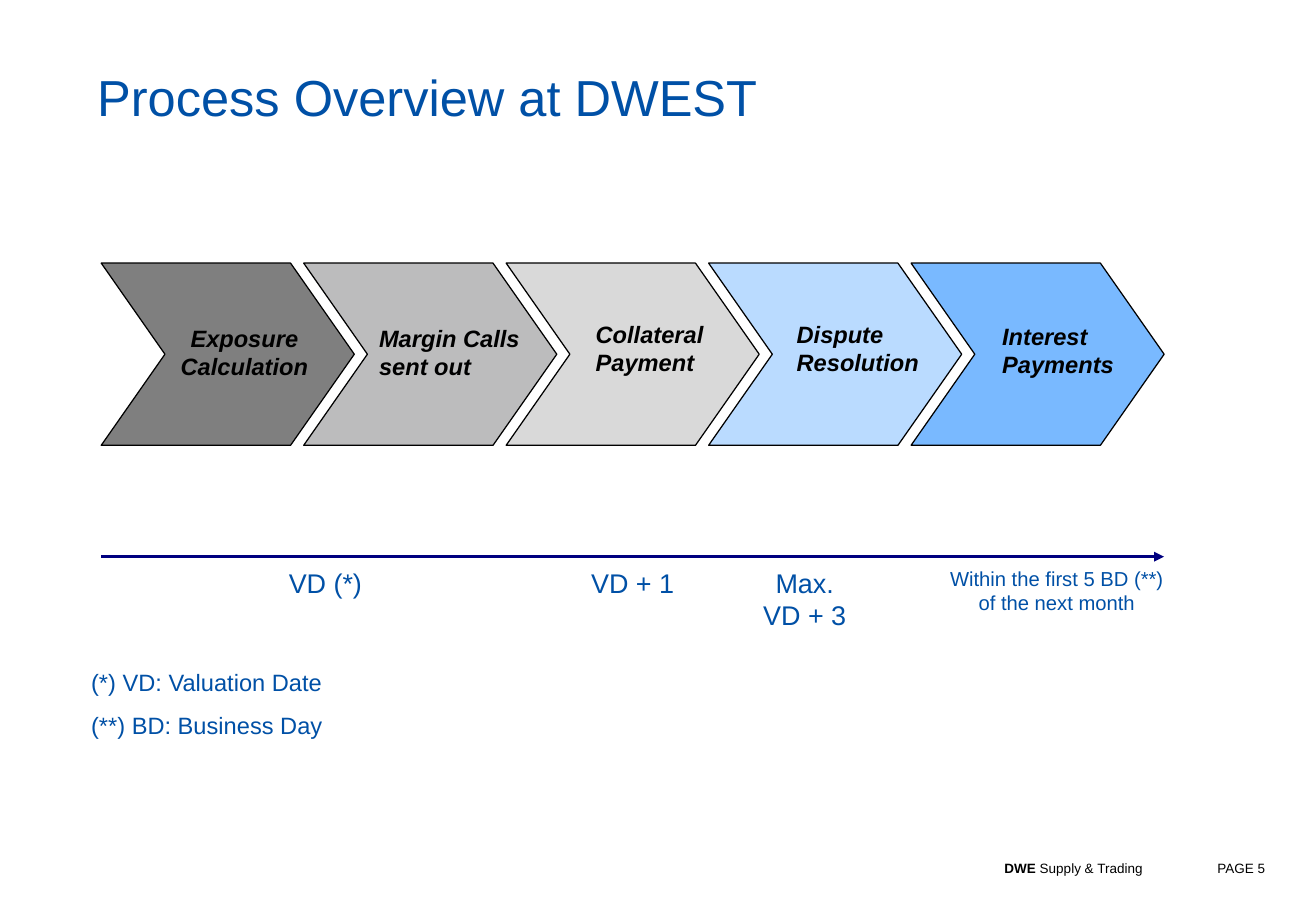
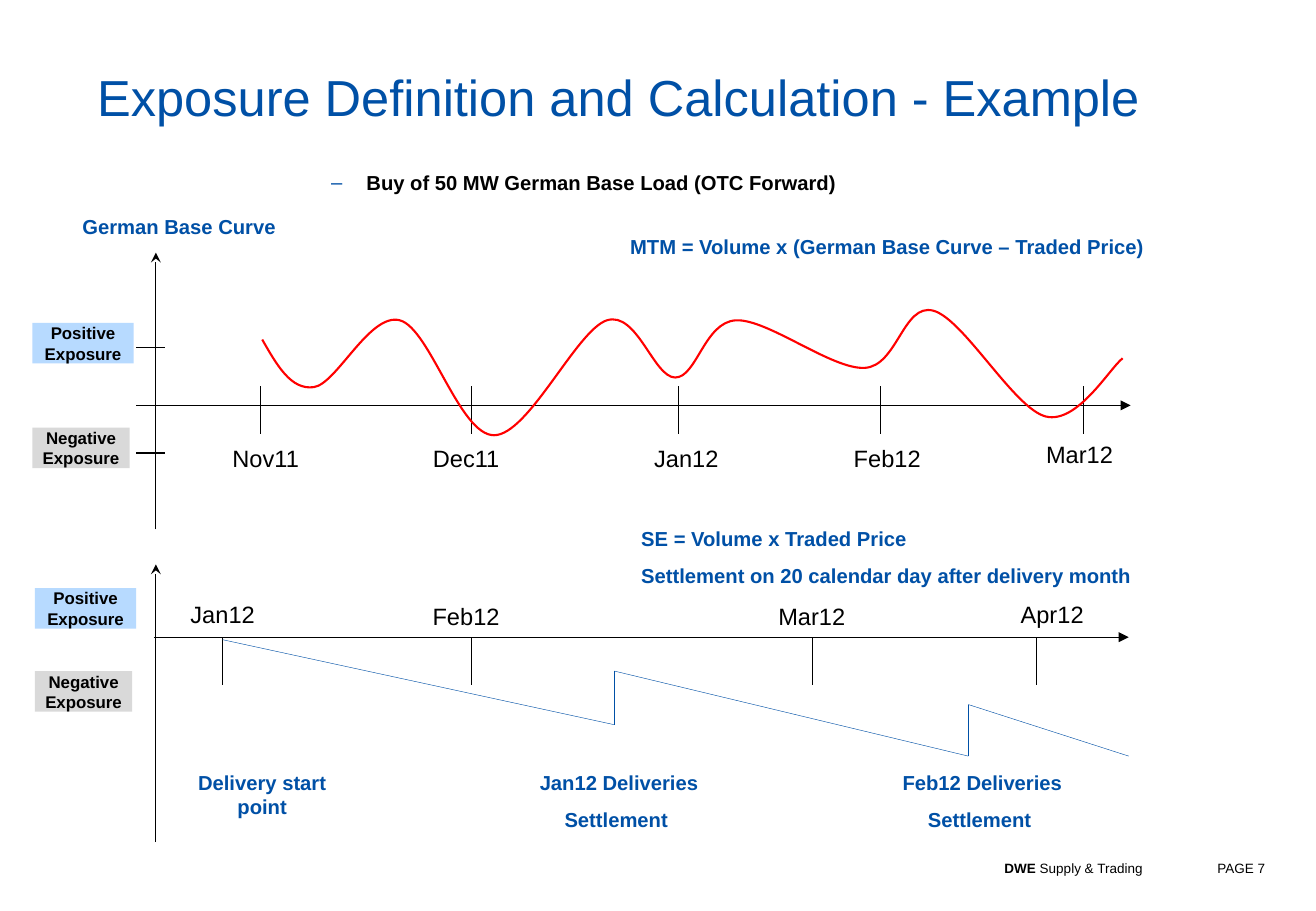
"""Build two slides on margin-call processing and exposure calculation."""
import dataclasses
import itertools

import lxml.etree
import pptx
import pptx.dml.color
import pptx.enum.shapes
import pptx.enum.text
import pptx.oxml.ns
import pptx.util

Align = pptx.enum.text.PP_ALIGN
Anchor = pptx.enum.text.MSO_ANCHOR
Preset = pptx.enum.shapes.MSO_SHAPE
Connector = pptx.enum.shapes.MSO_CONNECTOR
qn = pptx.oxml.ns.qn

WIDTH = pptx.util.Inches(10.84)
HEIGHT = pptx.util.Inches(7.5)
COLUMN = WIDTH / 130
ROW = HEIGHT / 90


@dataclasses.dataclass(frozen=True)
class Theme:
    font: str = "Arial"
    blue: str = "0050A6"
    black: str = "000000"
    navy: str = "000080"
    curve: str = "FF0000"
    positive: str = "B7DAFF"
    negative: str = "D9D9D9"
    steps: tuple = ("7F7F7F", "BCBCBD", "D9D9D9", "BADBFF", "79B9FF")
    title: float = 30
    period: float = 16
    label: float = 14
    caption: float = 12
    badge: float = 10
    footer: float = 8
    hairline: float = 0.25
    thin: float = 0.75
    medium: float = 1.25
    thick: float = 1.75


THEME = Theme()


def rgb(value):
    return pptx.dml.color.RGBColor.from_string(value)


def across(columns):
    return round(columns * COLUMN)


def down(rows):
    return round(rows * ROW)


def cell(left, top, width, height):
    return across(left), down(top), across(width), down(height)


def style(paragraph, size, color, bold=False, italic=False):
    font = paragraph.font
    font.name, font.size = THEME.font, pptx.util.Pt(size)
    font.bold, font.italic = bold, italic
    font.color.rgb = rgb(color)


def fill_frame(frame, lines, size, color, align=Align.LEFT, bold=False, italic=False, gap=0):
    frame.word_wrap = True
    frame.vertical_anchor = Anchor.TOP
    frame.margin_left = frame.margin_right = frame.margin_top = frame.margin_bottom = 0
    for index, line in enumerate(lines):
        paragraph = frame.paragraphs[0] if index == 0 else frame.add_paragraph()
        paragraph.text = line
        paragraph.alignment = align
        if index:
            paragraph.space_before = pptx.util.Pt(gap)
        style(paragraph, size, color, bold, italic)


def add_text(slide, area, lines, size, color=THEME.blue, **options):
    frame = slide.shapes.add_textbox(*cell(*area)).text_frame
    fill_frame(frame, lines, size, color, **options)
    return frame


def add_line(slide, start, end, color=THEME.black, weight=THEME.thin, arrow=None):
    line = slide.shapes.add_connector(
        Connector.STRAIGHT, across(start[0]), down(start[1]), across(end[0]), down(end[1]))
    line.line.color.rgb = rgb(color)
    line.line.width = pptx.util.Pt(weight)
    properties = line._element.spPr
    if arrow:
        lxml.etree.SubElement(properties.find(qn("a:ln")), qn("a:tailEnd"), type=arrow)
    lxml.etree.SubElement(properties, qn("a:effectLst"))


def add_chevron(slide, left, top, width, height, color):
    step = slide.shapes.add_shape(Preset.CHEVRON, *cell(left, top, width, height))
    step.adjustments[0] = 0.35
    step.shadow.inherit = False
    step.fill.solid()
    step.fill.fore_color.rgb = rgb(color)
    step.line.color.rgb = rgb(THEME.black)
    step.line.width = pptx.util.Pt(THEME.thin)


def add_badge(slide, left, top, width, text, color):
    badge = slide.shapes.add_shape(Preset.RECTANGLE, *cell(left, top, width, 4))
    badge.shadow.inherit = False
    badge.fill.solid()
    badge.fill.fore_color.rgb = rgb(color)
    badge.line.fill.background()
    fill_frame(badge.text_frame, [text], THEME.badge, THEME.black, align=Align.CENTER, bold=True)


def add_badges(slide, left, positive_top, negative_top):
    add_badge(slide, left, positive_top, 10, "Positive Exposure", THEME.positive)
    add_badge(slide, left, negative_top, 9.6, "Negative Exposure", THEME.negative)


def smooth_segments(outline, lead_in):
    points = [(int(point.get("x")), int(point.get("y"))) for point in outline.iter(qn("a:pt"))]
    knots = [(points[0][0] + lead_in[0], points[0][1] + lead_in[1]), *points, points[-1]]
    for segment, before, start, end, after in zip(
            outline.findall(qn("a:lnTo")), knots, knots[1:], knots[2:], knots[3:]):
        leave = [s + (e - b) / 6 for b, s, e in zip(before, start, end)]
        arrive = [e - (a - s) / 6 for s, e, a in zip(start, end, after)]
        bend = lxml.etree.Element(qn("a:cubicBezTo"))
        for x, y in (leave, arrive, end):
            lxml.etree.SubElement(bend, qn("a:pt"), x=str(round(x)), y=str(round(y)))
        outline.replace(segment, bend)


def add_curve(slide, points, lead_in):
    trail = [(across(x), down(y)) for x, y in points]
    builder = slide.shapes.build_freeform(*trail[0])
    builder.add_line_segments(trail[1:], close=False)
    curve = builder.convert_to_shape()
    smooth_segments(next(curve._element.iter(qn("a:path"))), (across(lead_in[0]), down(lead_in[1])))
    curve.shadow.inherit = False
    curve.fill.background()
    curve.line.color.rgb = rgb(THEME.curve)
    curve.line.width = pptx.util.Pt(THEME.medium)


def add_months(slide, months, tick_top):
    for name, tick, label_left, label_top in months:
        add_line(slide, (tick, tick_top), (tick, tick_top + 4.7))
        add_text(slide, (label_left, label_top, 8.5, 2.8), [name], THEME.label,
                 THEME.black, align=Align.CENTER)


def new_slide(deck, title, page):
    slide = deck.slides.add_slide(deck.slide_layouts[6])
    add_text(slide, (9.6, 6.5, 110.8, 8), [title], THEME.title)
    owner = add_text(slide, (40.4, 82.9, 72.5, 3.7), [""], THEME.footer, THEME.black,
                     align=Align.RIGHT)
    for text, bold in (("DWE", True), (" Supply & Trading", False)):
        run = owner.paragraphs[0].add_run()
        run.text, run.font.bold = text, bold
    number = add_text(slide, (120.25, 82.9, 8.2, 3.7), [f"PAGE {page}"], THEME.footer, THEME.black)
    owner.vertical_anchor = number.vertical_anchor = Anchor.BOTTOM
    return slide


def process_slide(deck):
    slide = new_slide(deck, "Process Overview at DWEST", 5)
    for index, color in enumerate(THEME.steps):
        add_chevron(slide, 10 + 20 * index, 26, 25, 18, color)
    for text, left, top, width, align in (
            ("Exposure Calculation", 14.45, 32, 19.4, Align.CENTER),
            ("Margin Calls sent out", 37.45, 32, 18.5, Align.LEFT),
            ("Collateral Payment", 58.85, 31.6, 15.8, Align.LEFT),
            ("Dispute Resolution", 78.7, 31.6, 14.3, Align.LEFT),
            ("Interest Payments", 99, 31.8, 14.5, Align.LEFT)):
        add_text(slide, (left, top, width, 5.6), [text], THEME.label, THEME.black,
                 align=align, bold=True, italic=True)
    add_line(slide, (10, 55), (115, 55), THEME.navy, THEME.thick, "triangle")
    for text, left, width, size in (
            ("VD (*)", 28.15, 8, THEME.period),
            ("VD + 1", 58, 9, THEME.period),
            ("Max. VD + 3", 75, 9, THEME.period),
            ("Within the first 5 BD (**) of the next month", 92.9, 23, THEME.caption)):
        add_text(slide, (left, 55.95, width, 6.4), [text], size, align=Align.CENTER)
    add_text(slide, (9, 66, 28.4, 7), ["(*) VD: Valuation Date", "(**) BD: Business Day"],
             THEME.label, gap=8.8)


def add_topic(slide):
    topic = slide.shapes.add_textbox(*cell(29.2, 16.8, 65.2, 2.4)).text_frame
    properties = topic.paragraphs[0]._p.get_or_add_pPr()
    properties.set("marL", str(across(7)))
    properties.set("indent", str(-across(3.5)))
    bullet_color = lxml.etree.SubElement(properties, qn("a:buClr"))
    lxml.etree.SubElement(bullet_color, qn("a:srgbClr"), val=THEME.blue)
    lxml.etree.SubElement(properties, qn("a:buFont"), typeface=THEME.font)
    lxml.etree.SubElement(properties, qn("a:buChar"), char="–")
    fill_frame(topic, ["Buy of 50 MW German Base Load (OTC Forward)"], THEME.caption,
               THEME.black, bold=True)


def market_value_chart(slide):
    add_line(slide, (16.3, 40.05), (111.7, 40.05), arrow="triangle")
    add_months(slide, (("Nov11", 25.75, 22, 43.9), ("Dec11", 46.55, 41.8, 43.9),
                       ("Jan12", 67, 63.55, 43.9), ("Feb12", 87, 83.4, 43.9),
                       ("Mar12", 107, 102.4, 43.5)), 38.15)
    add_curve(slide, ((25.9, 33.55), (31, 38.25), (39.5, 31.65), (48.8, 43), (59.95, 31.65),
                      (66.7, 37.3), (72.7, 31.65), (85.4, 36.35), (92.2, 30.7),
                      (103.3, 41.15), (110.9, 35.4)), (-3.6, -10.4))
    add_line(slide, (15.4, 52.3), (15.4, 24.95), arrow="stealth")
    for level in (34.3, 40.05, 44.75):
        add_line(slide, (16.3, level), (13.4, level))
    add_badges(slide, 3.2, 31.9, 42.25)
    for text, left, top, width in (
            ("German Base Curve", 5.9, 21.2, 23.6),
            ("MTM = Volume x (German Base Curve – Traded Price)", 60.7, 23.1, 53.9)):
        add_text(slide, (left, top, width, 2.4), [text], THEME.caption,
                 align=Align.CENTER, bold=True)


def settlement_chart(slide):
    add_line(slide, (15.2, 62.95), (111.5, 62.95), arrow="triangle")
    add_months(slide, (("Jan12", 22, 17.75, 59.3), ("Feb12", 46.55, 41.8, 59.5),
                       ("Mar12", 80.25, 75.95, 59.5), ("Apr12", 102.4, 99.7, 59.3)), 63)
    add_line(slide, (15.4, 83.2), (15.4, 55.75), arrow="stealth")
    add_badges(slide, 3.45, 58.1, 66.3)
    exposure = ((22, 63.2), (60.7, 71.6), (60.7, 66.3), (95.65, 74.7), (95.65, 69.6), (111.5, 74.7))
    for start, end in itertools.pairwise(exposure):
        add_line(slide, start, end, THEME.blue, THEME.hairline)
    add_text(slide, (63.35, 52, 53.9, 6),
             ["SE = Volume x Traded Price", "Settlement on 20 calendar day after delivery month"],
             THEME.caption, bold=True, gap=7.5)
    for left, width, lines in (
            (18.4, 15, ["Delivery start point"]),
            (52.2, 17.9, ["Jan12 Deliveries", "Settlement "]),
            (88.1, 17.9, ["Feb12 Deliveries", "Settlement "])):
        add_text(slide, (left, 76.1, width, 6), lines, THEME.caption,
                 align=Align.CENTER, bold=True, gap=7.5)


def exposure_slide(deck):
    slide = new_slide(deck, "Exposure Definition and Calculation - Example", 7)
    add_topic(slide)
    market_value_chart(slide)
    settlement_chart(slide)


def main():
    deck = pptx.Presentation()
    deck.slide_width, deck.slide_height = WIDTH, HEIGHT
    process_slide(deck)
    exposure_slide(deck)
    deck.save("out.pptx")


if __name__ == "__main__":
    main()
